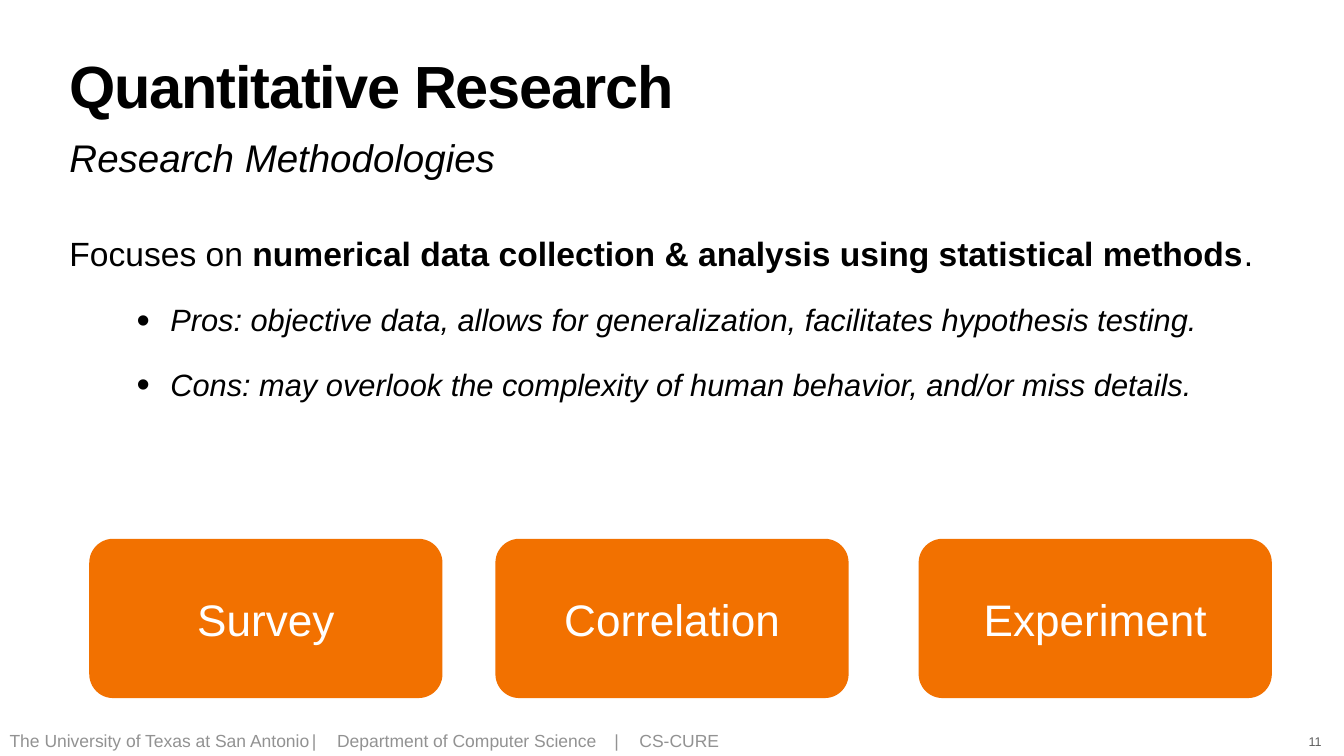
"""Build the Quantitative Research slide."""
from dataclasses import dataclass

from lxml import etree
from pptx import Presentation, util as u
from pptx.dml.color import RGBColor
from pptx.enum import shapes, text
from pptx.oxml.ns import qn

COLORS = {"ink": "000000", "card": "F27100", "light": "FFFFFF",
          "footer": "929292", "number": "5E5E5E"}
FONT = "Arial"
WIDTH, HEIGHT = u.Inches(26.67), u.Inches(15)


@dataclass(frozen=True)
class Area:
    """A rectangle in percent of the slide's width and height."""
    left: float
    top: float
    width: float
    height: float

    def lengths(self) -> tuple[int, int, int, int]:
        """Return left, top, width and height as lengths."""
        return across(self.left), down(self.top), across(self.width), down(self.height)


@dataclass(frozen=True)
class Card:
    """A labelled research method."""
    label: str
    left: float


CARDS = [Card("Survey", 6.64), Card("Correlation", 36.86), Card("Experiment", 68.35)]
POINTS = [
    "Pros: objective data, allows for generalization, facilitates hypothesis testing.",
    "Cons: may overlook the complexity of human behavior, and/or miss details.",
]
FOOTER = ["The University of Texas at San Antonio", "|",
          "Department of Computer Science", "|", "CS-CURE"]
FOOTER_TABS = [23.66, 25.72, 47.32, 50.09]


def across(percent: float) -> int:
    """Return a share of the slide's width."""
    return u.Emu(round(WIDTH * percent / 100))


def down(percent: float) -> int:
    """Return a share of the slide's height."""
    return u.Emu(round(HEIGHT * percent / 100))


def place(box, area: Area) -> None:
    """Move and size a box."""
    box.left, box.top, box.width, box.height = area.lengths()


def prepare(box, anchor=text.MSO_ANCHOR.TOP, wrap: bool = True):
    """Set up a box's text frame and return its first paragraph."""
    frame = box.text_frame
    frame.auto_size = text.MSO_AUTO_SIZE.NONE
    frame.word_wrap = wrap
    frame.vertical_anchor = anchor
    frame.margin_left = frame.margin_right = across(0.22)
    frame.margin_top = frame.margin_bottom = down(0.4)
    return frame.paragraphs[0]


def format_para(para, align=text.PP_ALIGN.LEFT, line: float = 1.0, before: float = 0,
                bullet: bool = False, tabs: tuple = ()) -> None:
    """Set a paragraph's bullet, tabs, alignment and spacing."""
    props = para._p.get_or_add_pPr()
    props.set("marL", str(across(7.5) if bullet else 0))
    props.set("indent", str(across(-2.5) if bullet else 0))
    if bullet:
        etree.SubElement(props, qn("a:buSzPct"), val="123000")
        etree.SubElement(props, qn("a:buChar"), char="•")
        para.level = 1
    else:
        etree.SubElement(props, qn("a:buNone"))
    if tabs:
        stops = etree.SubElement(props, qn("a:tabLst"))
        for stop in tabs:
            etree.SubElement(stops, qn("a:tab"), pos=str(across(stop)), algn="l")
    para.alignment = align
    para.line_spacing = line
    para.space_before = u.Pt(before)
    para.space_after = u.Pt(0)


def add_text(para, words: str, size: float, color: str = "ink", bold: bool = False,
             italic: bool = False, tracking: float = 0) -> None:
    """Add a formatted span to a paragraph."""
    span = para.add_run()
    span.text = words
    span.font.name = FONT
    span.font.size = u.Pt(size)
    span.font.bold = bold
    span.font.italic = italic
    span.font.color.rgb = RGBColor.from_string(COLORS[color])
    if tracking:
        span._r.get_or_add_rPr().set("spc", str(round(tracking * 100)))


def add_card(page, card: Card) -> None:
    """Draw a rounded card with its label."""
    area = Area(card.left, 71.27, 26.28, 21.07)
    box = page.shapes.add_shape(shapes.MSO_SHAPE.ROUNDED_RECTANGLE, *area.lengths())
    box.adjustments[0] = 0.15
    box.shadow.inherit = False
    box.fill.solid()
    box.fill.fore_color.rgb = RGBColor.from_string(COLORS["card"])
    box.line.fill.background()
    para = prepare(box, text.MSO_ANCHOR.MIDDLE)
    format_para(para, text.PP_ALIGN.CENTER)
    add_text(para, card.label, size=63, color="light")


def add_headings(page) -> None:
    """Fill the title and the subtitle."""
    title, subtitle = page.shapes.title, page.placeholders[1]
    place(title, Area(4.95, 7.87, 90.1, 10.47))
    para = prepare(title)
    format_para(para, line=0.8)
    add_text(para, "Quantitative Research", size=85, bold=True, tracking=-1.7)
    place(subtitle, Area(4.95, 17.33, 90.1, 6.8))
    para = prepare(subtitle)
    format_para(para)
    add_text(para, "Research Methodologies", size=55, italic=True)


def add_body(page) -> None:
    """Fill the body with the summary and its bullets."""
    body = page.placeholders[2]
    place(body, Area(4.95, 31, 90.1, 34.53))
    para = prepare(body)
    format_para(para, text.PP_ALIGN.JUSTIFY, line=0.9)
    add_text(para, "Focuses on ", size=48)
    add_text(para, "numerical data collection & analysis using statistical methods",
             size=48, bold=True)
    add_text(para, ".", size=48)
    for point in POINTS:
        para = body.text_frame.add_paragraph()
        format_para(para, text.PP_ALIGN.JUSTIFY, line=0.9, before=45, bullet=True)
        add_text(para, point, size=44, italic=True)


def add_footer(page) -> None:
    """Draw the footer line and the page number."""
    box = page.shapes.add_textbox(*Area(0.49, 96.33, 95.54, 3.47).lengths())
    para = prepare(box, text.MSO_ANCHOR.MIDDLE)
    format_para(para, line=0.9, tabs=tuple(FOOTER_TABS))
    add_text(para, "\t".join(FOOTER), size=25, color="footer")
    box = page.shapes.add_textbox(*Area(97.11, 96.73, 1.5, 2.73).lengths())
    para = prepare(box, text.MSO_ANCHOR.BOTTOM, wrap=False)
    format_para(para, text.PP_ALIGN.CENTER)
    add_text(para, "11", size=18, color="number")


def main() -> None:
    """Build and save the deck."""
    deck = Presentation()
    deck.slide_width, deck.slide_height = WIDTH, HEIGHT
    page = deck.slides.add_slide(deck.slide_layouts.get_by_name("Two Content"))
    add_headings(page)
    add_body(page)
    add_footer(page)
    for card in CARDS:
        add_card(page, card)
    deck.save("out.pptx")


if __name__ == "__main__":
    main()
